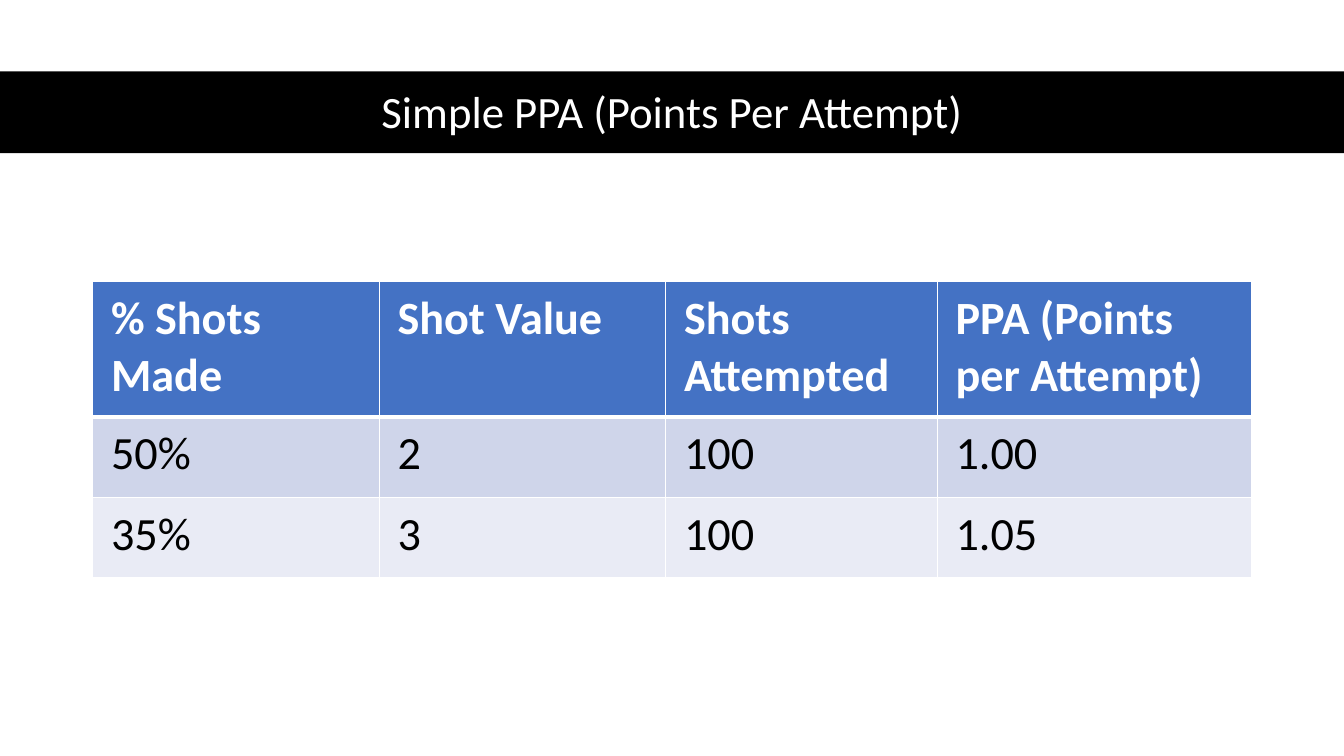
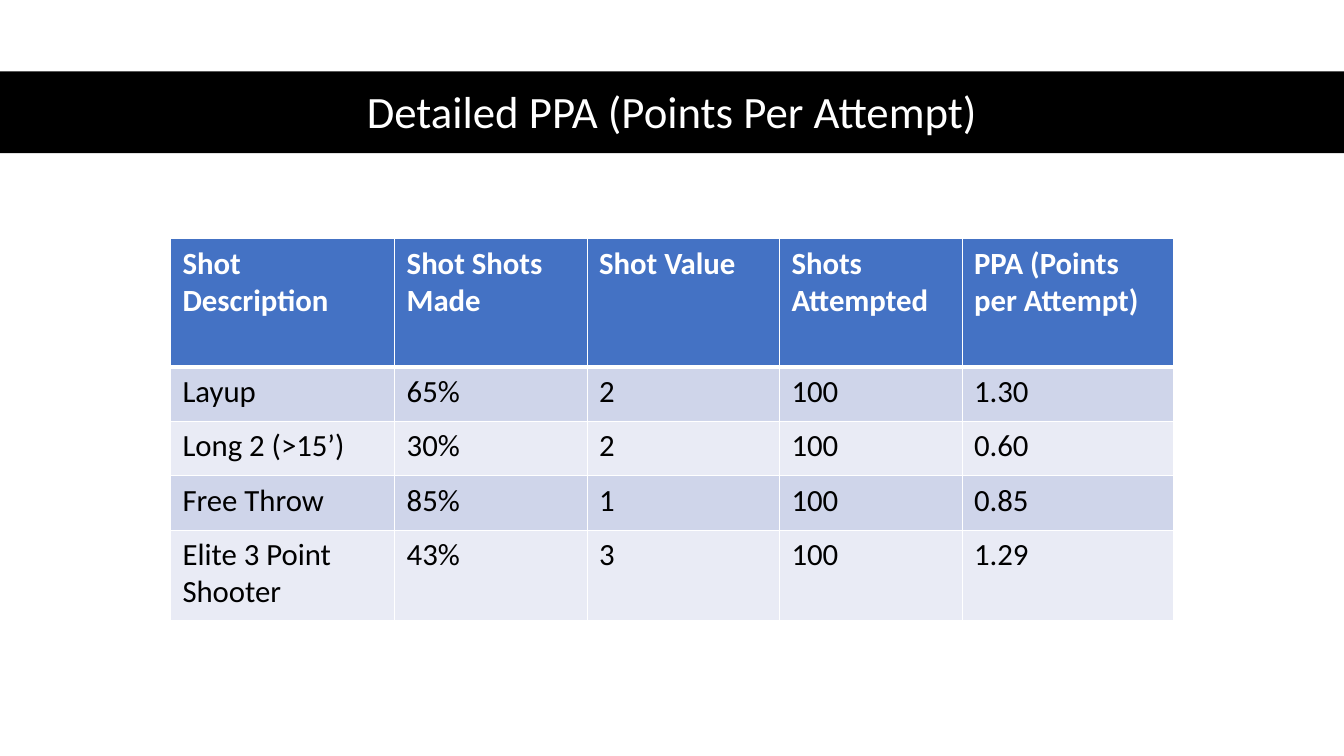
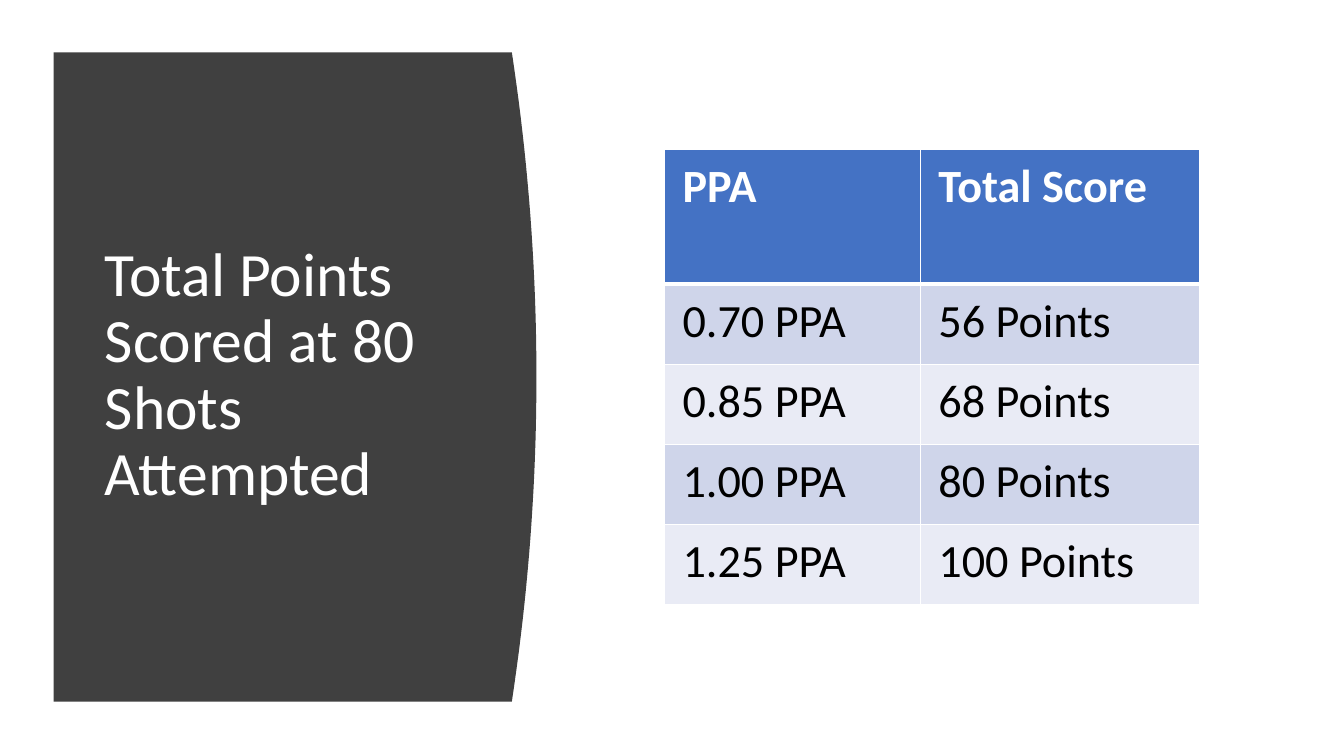
from dataclasses import dataclass

from lxml.etree import SubElement
from pptx import Presentation
from pptx.dml.color import RGBColor as Rgb
from pptx.enum.shapes import MSO_SHAPE as Shape
from pptx.enum.text import MSO_ANCHOR as Anchor, MSO_AUTO_SIZE as AutoSize, PP_ALIGN as Align
from pptx.oxml.ns import qn
from pptx.util import Cm, Pt


@dataclass(frozen=True)
class Theme:
    font: str = "Calibri"
    white: str = "FFFFFF"
    black: str = "000000"
    panel: str = "404040"
    header: str = "4472C4"
    bands: tuple = ("CFD5EA", "E9EBF5")
    band_title: int = 32
    panel_title: int = 44
    large_table: int = 33
    small_table: int = 22
    thin: int = 1
    thick: int = 3


THEME = Theme()
SLIDE_WIDTH, SLIDE_HEIGHT = Cm(33.87), Cm(19.05)
TITLE_ONLY = 5


def paint(shape, color):
    shape.shadow.inherit = False
    shape.fill.solid()
    shape.fill.fore_color.rgb = Rgb.from_string(color)
    shape.line.fill.background()


def style_text(paragraph, size, color, bold=False):
    for run in paragraph.runs:
        run.font.name = THEME.font
        run.font.size = Pt(size)
        run.font.bold = bold
        run.font.color.rgb = Rgb.from_string(color)


def place_title(slide, wording, box, size, align):
    title = slide.shapes.title
    title.left, title.top, title.width, title.height = box
    frame = title.text_frame
    frame.text = wording
    frame.word_wrap = True
    frame.auto_size = AutoSize.NONE
    frame.vertical_anchor = Anchor.MIDDLE
    paragraph = frame.paragraphs[0]
    paragraph.alignment = align
    paragraph.line_spacing = 0.9
    style_text(paragraph, size, THEME.white)
    return title


def add_banded_slide(deck, wording):
    slide = deck.slides.add_slide(deck.slide_layouts[TITLE_ONLY])
    title_box = Cm(2.33), Cm(1.88), Cm(29.21), Cm(1.98)
    title = place_title(slide, wording, title_box, THEME.band_title, Align.CENTER)
    band = slide.shapes.add_shape(Shape.RECTANGLE, 0, Cm(1.8), SLIDE_WIDTH, Cm(2.06))
    paint(band, THEME.black)
    title.element.addprevious(band.element)
    return slide


def add_panel_slide(deck, wording):
    slide = deck.slides.add_slide(deck.slide_layouts[TITLE_ONLY])
    title_box = Cm(2.39), Cm(2.82), Cm(9.5), Cm(13.31)
    title = place_title(slide, wording, title_box, THEME.panel_title, Align.LEFT)
    left, right, top, bottom, bulge = 1.35, 12.9, 1.32, 17.68, 0.62
    steps = 40
    curve = []
    for step in range(steps + 1):
        part = step / steps
        x = right + bulge * 4 * part * (1 - part)
        curve.append((Cm(x), Cm(top + (bottom - top) * part)))
    outline = slide.shapes.build_freeform(Cm(left), Cm(top))
    outline.add_line_segments(curve + [(Cm(left), Cm(bottom))], close=True)
    panel = outline.convert_to_shape()
    paint(panel, THEME.panel)
    title.element.addprevious(panel.element)
    return slide


def set_borders(cell, top, bottom):
    properties = cell._tc.get_or_add_tcPr()
    widths = {"a:lnL": THEME.thin, "a:lnR": THEME.thin, "a:lnT": top, "a:lnB": bottom}
    for side, width in widths.items():
        line = SubElement(properties, qn(side), w=str(Pt(width)))
        fill = SubElement(line, qn("a:solidFill"))
        SubElement(fill, qn("a:srgbClr"), val=THEME.white)


def format_cell(cell, wording, row, size, inset):
    is_header = row == 0
    cell.margin_left = cell.margin_right = Cm(inset)
    cell.margin_top = cell.margin_bottom = Cm(inset / 2)
    set_borders(cell, THEME.thick if row == 1 else THEME.thin,
                THEME.thick if is_header else THEME.thin)
    cell.fill.solid()
    color = THEME.header if is_header else THEME.bands[(row - 1) % 2]
    cell.fill.fore_color.rgb = Rgb.from_string(color)
    cell.text_frame.text = wording
    style_text(cell.text_frame.paragraphs[0], size,
               THEME.white if is_header else THEME.black, is_header)


def add_data_table(slide, left, top, widths, heights, records, size, inset):
    table = slide.shapes.add_table(
        len(heights), len(widths), Cm(left), Cm(top),
        Cm(sum(widths)), Cm(sum(heights))).table
    table.horz_banding = False
    for column, width in zip(table.columns, widths):
        column.width = Cm(width)
    for row, height in zip(table.rows, heights):
        row.height = Cm(height)
    for row, record in enumerate(records):
        for column, wording in enumerate(record):
            format_cell(table.cell(row, column), wording, row, size, inset)


def main():
    deck = Presentation()
    deck.slide_width, deck.slide_height = SLIDE_WIDTH, SLIDE_HEIGHT

    simple = add_banded_slide(deck, "Simple PPA (Points Per Attempt)")
    add_data_table(simple, 2.34, 7.1, [7.22, 7.22, 6.84, 7.92], [3.4, 2.03, 2.03], [
        ("% Shots Made", "Shot Value", "Shots Attempted", "PPA (Points per Attempt)"),
        ("50%", "2", "100", "1.00"),
        ("35%", "3", "100", "1.05"),
    ], THEME.large_table, 0.46)

    detailed = add_banded_slide(deck, "Detailed PPA (Points Per Attempt)")
    add_data_table(detailed, 4.3, 6.02, [5.65, 4.85, 4.85, 4.6, 5.33],
                   [3.23] + [1.37] * 3 + [2.28], [
        ("Shot Description", "Shot Shots Made", "Shot Value", "Shots Attempted",
         "PPA (Points per Attempt)"),
        ("Layup", "65%", "2", "100", "1.30"),
        ("Long 2 (>15’)", "30%", "2", "100", "0.60"),
        ("Free Throw", "85%", "1", "100", "0.85"),
        ("Elite 3 Point Shooter", "43%", "3", "100", "1.29"),
    ], THEME.small_table, 0.3)

    totals = add_panel_slide(deck, "Total Points Scored at 80 Shots Attempted")
    add_data_table(totals, 16.74, 3.76, [6.45, 7.04], [3.4] + [2.02] * 4, [
        ("PPA", "Total Score"),
        ("0.70 PPA", "56 Points"),
        ("0.85 PPA", "68 Points"),
        ("1.00 PPA", "80 Points"),
        ("1.25 PPA", "100 Points"),
    ], THEME.large_table, 0.46)

    deck.save("out.pptx")


if __name__ == "__main__":
    main()
